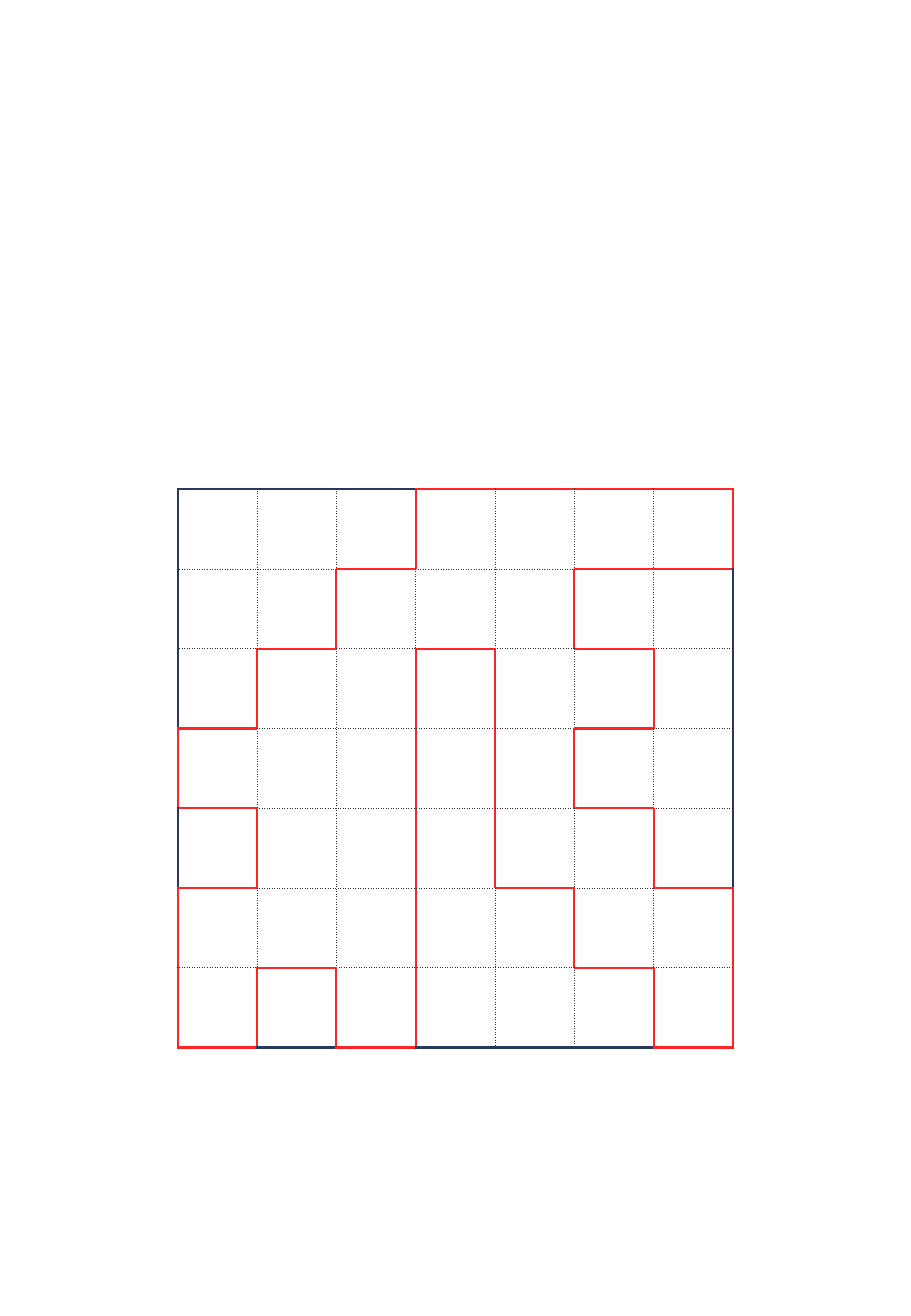
from lxml import etree
from pptx import Presentation
from pptx import util as u
from pptx.oxml import ns

CELLS = 7
NO_STYLE = "{2D5ABB26-0587-4C30-8999-92F81FD0307C}"
BORDERS = {"R": ("FF2525", 1.5, "solid"),
           "N": ("28385E", 1.5, "solid"),
           ".": ("333333", 0.5, "dot")}
HORIZONTAL_EDGES = ["NNNRRRR",
                    "..R..RR",
                    ".R.R.R.",
                    "R....R.",
                    "R....R.",
                    "R...R.R",
                    ".R...R.",
                    "RNRNNNR"]
VERTICAL_EDGES = ["N..R...R",
                  "N.R..R.N",
                  "NR.RR.RN",
                  "R..RRR.N",
                  "NR.RR.RN",
                  "R..R.R.R",
                  "RRRR..RR"]


def edge(edges, row, column):
    if 0 <= row < len(edges) and 0 <= column < len(edges[0]):
        return edges[row][column]
    return None


def add_border(cell, side, kind):
    color, width, dash = BORDERS[kind]
    properties = cell._tc.get_or_add_tcPr()
    line = etree.SubElement(properties, ns.qn(f"a:ln{side}"), w=str(u.Pt(width)))
    fill = etree.SubElement(line, ns.qn("a:solidFill"))
    etree.SubElement(fill, ns.qn("a:srgbClr"), val=color)
    etree.SubElement(line, ns.qn("a:prstDash"), val=dash)


def format_cell(cell, row, column):
    sides = {"L": edge(VERTICAL_EDGES, row, column),
             "R": edge(VERTICAL_EDGES, row, column + 1),
             "T": edge(HORIZONTAL_EDGES, row, column),
             "B": edge(HORIZONTAL_EDGES, row + 1, column)}
    for side, kind in sides.items():
        if kind:
            add_border(cell, side, kind)
    cell.fill.background()


def add_puzzle_grid(slide, left, top, width, height):
    size = CELLS + 2
    frame = slide.shapes.add_table(size, size, u.Inches(left), u.Inches(top),
                                   u.Inches(width), u.Inches(height))
    table = frame.table
    table.first_row = False
    table.horz_banding = False
    table._tbl.tblPr.find(ns.qn("a:tableStyleId")).text = NO_STYLE
    for column in table.columns:
        column.width = u.Inches(width / size)
    for row in table.rows:
        row.height = u.Inches(height / size)
    for row in range(size):
        for column in range(size):
            format_cell(table.cell(row, column), row - 1, column - 1)


def main():
    presentation = Presentation()
    presentation.slide_width = u.Inches(7.5)
    presentation.slide_height = u.Inches(10.83)
    slide = presentation.slides.add_slide(presentation.slide_layouts[6])
    add_puzzle_grid(slide, 0.81, 3.37, 5.88, 5.91)
    presentation.save("out.pptx")


if __name__ == "__main__":
    main()
